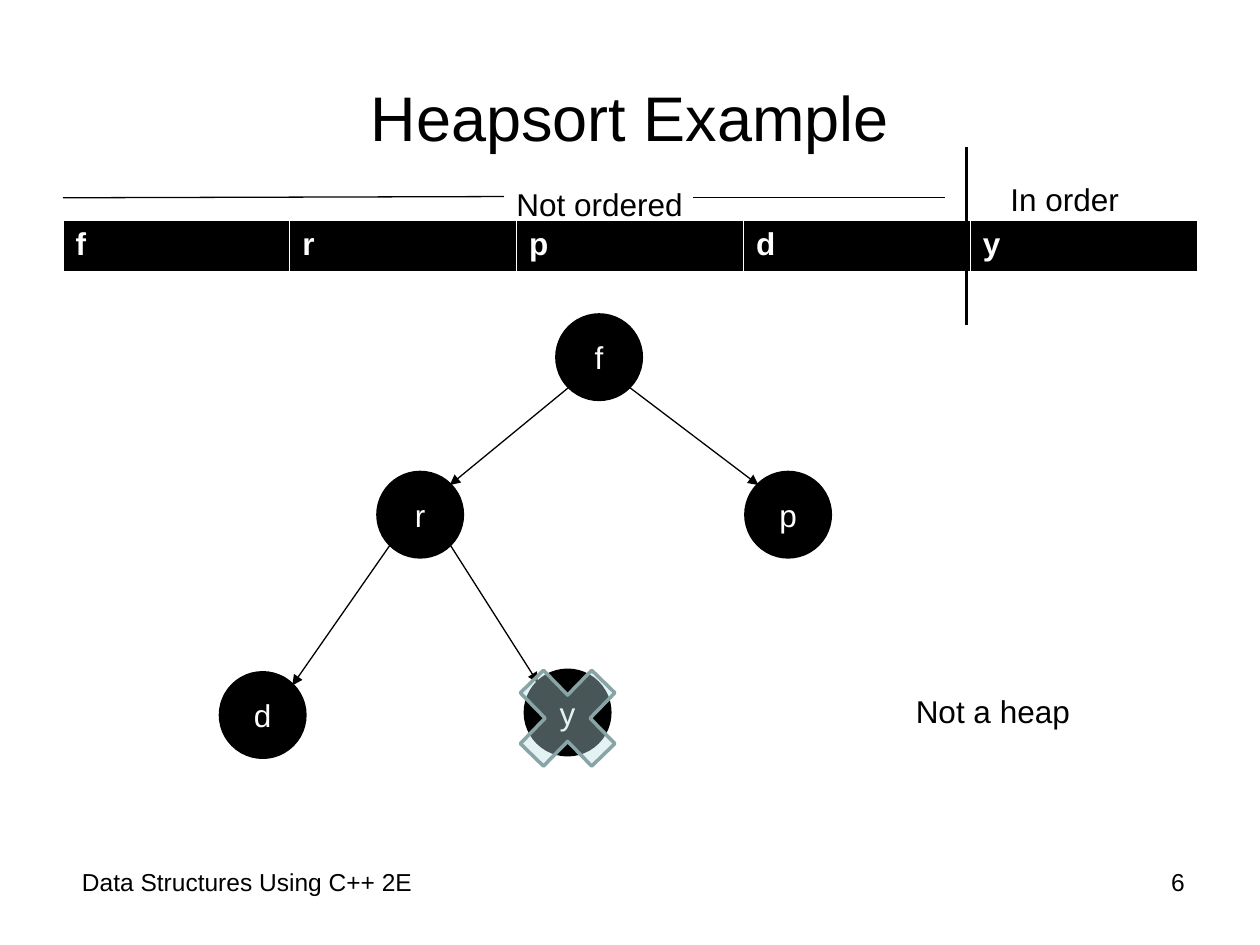
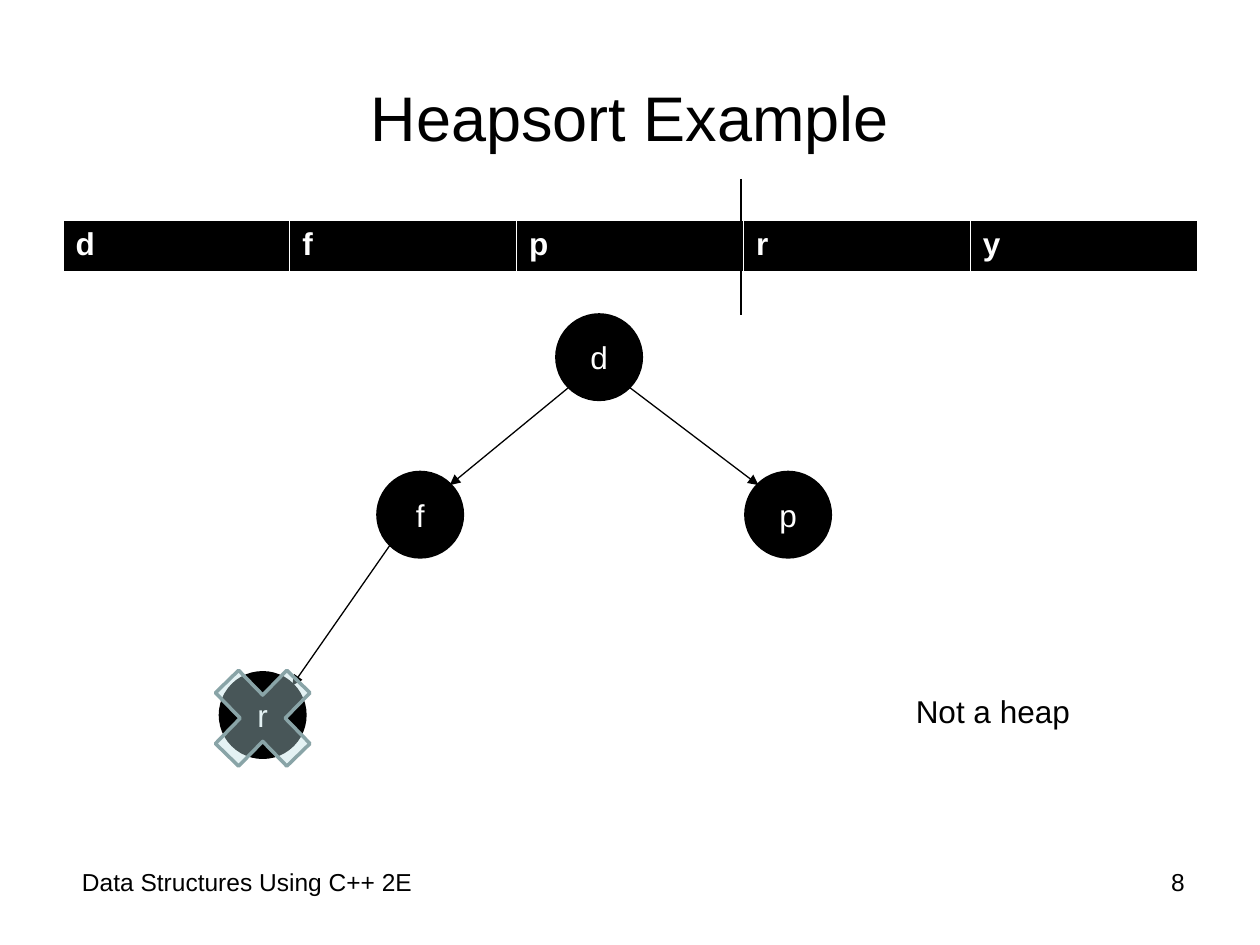
import dataclasses
import typing

import lxml.etree
import pptx
import pptx.dml.color
import pptx.enum.shapes
import pptx.enum.text
import pptx.oxml.ns
import pptx.slide
import pptx.text.text
import pptx.util

SCALE = 9144  # EMU in one px, 100 px to the inch
SHAPE = pptx.enum.shapes.MSO_SHAPE
ALIGN = pptx.enum.text.PP_ALIGN
ANCHOR = pptx.enum.text.MSO_ANCHOR
qn = pptx.oxml.ns.qn


@dataclasses.dataclass(frozen=True)
class Theme:
    font: str = "Arial"
    ink: str = "000000"
    paper: str = "FFFFFF"
    cross: str = "BBE0E3"
    rim: str = "89A4A7"
    clear: int = 39  # opacity of the cross, percent
    title: int = 36
    body: int = 18
    foot: int = 14
    thin: float = 0.75
    thick: float = 2
    grid: float = 0.45
    base: float = 1.47


class Label(typing.NamedTuple):
    text: str
    left: int
    top: int
    width: int = 183
    height: int = 40
    indent: int = 10


class Rule(typing.NamedTuple):
    x1: int
    y1: int
    x2: int
    y2: int
    weight: float
    arrow: bool = False


class Spot(typing.NamedTuple):
    left: int
    top: int
    parent: int | None


class Page(typing.NamedTuple):
    number: str
    cells: str
    heap: str  # one letter for each tree spot; the last is crossed out
    rules: list[Rule]
    labels: list[Label]


THEME = Theme()
NODE = 67
INSET = 10  # from the box of a node to its rim, on the diagonal
CROSS = (109, 112)
CROSS_TOP = 514
SPOTS = [Spot(442, 250, None), Spot(300, 375, 0), Spot(592, 375, 0),
         Spot(175, 534, 1), Spot(417, 532, 1)]
VERDICT = Label("Not a heap", 717, 544)
PAGES = [
    Page("6", "frpdy", "frpdy",
         [Rule(767, 117, 767, 258, THEME.thick),
          Rule(750, 157, 550, 157, THEME.thin),
          Rule(400, 156, 50, 157, THEME.thin)],
         [VERDICT, Label("In order", 792, 138), Label("Not ordered", 400, 142)]),
    Page("8", "dfpry", "dfpr",
         [Rule(588, 142, 588, 250, THEME.thin)], [VERDICT]),
]


def px(*sizes: int) -> list[pptx.util.Emu]:
    return [pptx.util.Emu(size * SCALE) for size in sizes]


def shade(code: str) -> pptx.dml.color.RGBColor:
    return pptx.dml.color.RGBColor.from_string(code)


def write(frame: pptx.text.text.TextFrame, text: str, size: int, hue: str,
          align: ALIGN = ALIGN.LEFT, bold: bool = False) -> None:
    frame.text = text
    para = frame.paragraphs[0]
    para.alignment = align
    para.font.name, para.font.size = THEME.font, pptx.util.Pt(size)
    para.font.bold = bold
    para.font.color.rgb = shade(hue)


def draw_title(slide: pptx.slide.Slide) -> None:
    title = slide.shapes.title
    title.left, title.top, title.width, title.height = px(50, 30, 900, 125)
    title.text_frame.vertical_anchor = ANCHOR.MIDDLE
    write(title.text_frame, "Heapsort Example", THEME.title, THEME.ink, ALIGN.CENTER)


def draw_label(slide: pptx.slide.Slide, label: Label, size: int = THEME.body,
               align: ALIGN = ALIGN.LEFT) -> None:
    box = slide.shapes.add_textbox(*px(label.left, label.top, label.width, label.height))
    box.text_frame.word_wrap = True
    box.text_frame.margin_left = px(label.indent)[0]
    write(box.text_frame, label.text, size, THEME.ink, align)


def draw_foot(slide: pptx.slide.Slide, number: str) -> None:
    draw_label(slide, Label("Data Structures Using C++ 2E", 50, 683, 758, 52, 15), THEME.foot)
    draw_label(slide, Label(number, 858, 683, 92, 52), THEME.foot, ALIGN.RIGHT)


def draw_list(slide: pptx.slide.Slide, cells: str) -> None:
    table = slide.shapes.add_table(1, len(cells), *px(50, 175, 900, 41)).table
    table.first_row = table.horz_banding = False
    for cell, text in zip(table.rows[0].cells, cells):
        write(cell.text_frame, text, THEME.body, THEME.paper, bold=True)
        props = cell._tc.get_or_add_tcPr()
        for side in "LRTB":
            weight = THEME.base if side == "B" else THEME.grid
            edge = lxml.etree.SubElement(props, qn(f"a:ln{side}"), w=str(pptx.util.Pt(weight)))
            fill = lxml.etree.SubElement(edge, qn("a:solidFill"))
            lxml.etree.SubElement(fill, qn("a:srgbClr"), val=THEME.paper)
        cell.fill.solid()
        cell.fill.fore_color.rgb = shade(THEME.ink)


def draw_rule(slide: pptx.slide.Slide, rule: Rule) -> None:
    line = slide.shapes.add_connector(
        pptx.enum.shapes.MSO_CONNECTOR.STRAIGHT, *px(rule.x1, rule.y1, rule.x2, rule.y2))
    line.line.color.rgb = shade(THEME.ink)
    line.line.width = pptx.util.Pt(rule.weight)
    if rule.arrow:
        lxml.etree.SubElement(line.line._get_or_add_ln(), qn("a:tailEnd"), type="triangle")
    lxml.etree.SubElement(line._element.spPr, qn("a:effectLst"))


def draw_shape(slide: pptx.slide.Slide, kind: SHAPE, box: list[pptx.util.Emu],
               fill: str, rim: str) -> typing.Any:
    shape = slide.shapes.add_shape(kind, *box)
    shape.shadow.inherit = False
    shape.fill.solid()
    shape.fill.fore_color.rgb = shade(fill)
    shape.line.color.rgb = shade(rim)
    shape.line.width = pptx.util.Pt(THEME.thick)
    return shape


def draw_edge(slide: pptx.slide.Slide, start: Spot, end: Spot) -> None:
    near, far = INSET, NODE - INSET
    out, into = (near, far) if end.left < start.left else (far, near)
    draw_rule(slide, Rule(start.left + out, start.top + far,
                          end.left + into, end.top + near, THEME.thin, True))


def draw_cross(slide: pptx.slide.Slide, spot: Spot) -> None:
    left = spot.left + (NODE - CROSS[0]) // 2
    cross = draw_shape(slide, SHAPE.MATH_MULTIPLY, px(left, CROSS_TOP, *CROSS),
                       THEME.cross, THEME.rim)
    tint = cross._element.spPr.find(qn("a:solidFill"))[0]
    lxml.etree.SubElement(tint, qn("a:alpha"), val=str(THEME.clear * 1000))


def draw_heap(slide: pptx.slide.Slide, heap: str) -> None:
    spots = SPOTS[:len(heap)]
    for spot, text in zip(spots, heap):
        node = draw_shape(slide, SHAPE.OVAL, px(spot.left, spot.top, NODE, NODE),
                          THEME.ink, THEME.ink)
        node.text_frame.vertical_anchor = ANCHOR.MIDDLE
        write(node.text_frame, text, THEME.body, THEME.paper, ALIGN.CENTER)
    for spot in spots:
        if spot.parent is not None:
            draw_edge(slide, SPOTS[spot.parent], spot)
    draw_cross(slide, spots[-1])


def main() -> None:
    deck = pptx.Presentation()
    deck.slide_width, deck.slide_height = px(1000, 750)
    for page in PAGES:
        slide = deck.slides.add_slide(deck.slide_layouts.get_by_name("Title Only"))
        # Frame of the slide
        draw_title(slide)
        draw_list(slide, page.cells)
        draw_foot(slide, page.number)
        # Tree, split marks and captions
        draw_heap(slide, page.heap)
        for rule in page.rules:
            draw_rule(slide, rule)
        for label in page.labels:
            draw_label(slide, label)
    deck.save("out.pptx")


if __name__ == "__main__":
    main()
